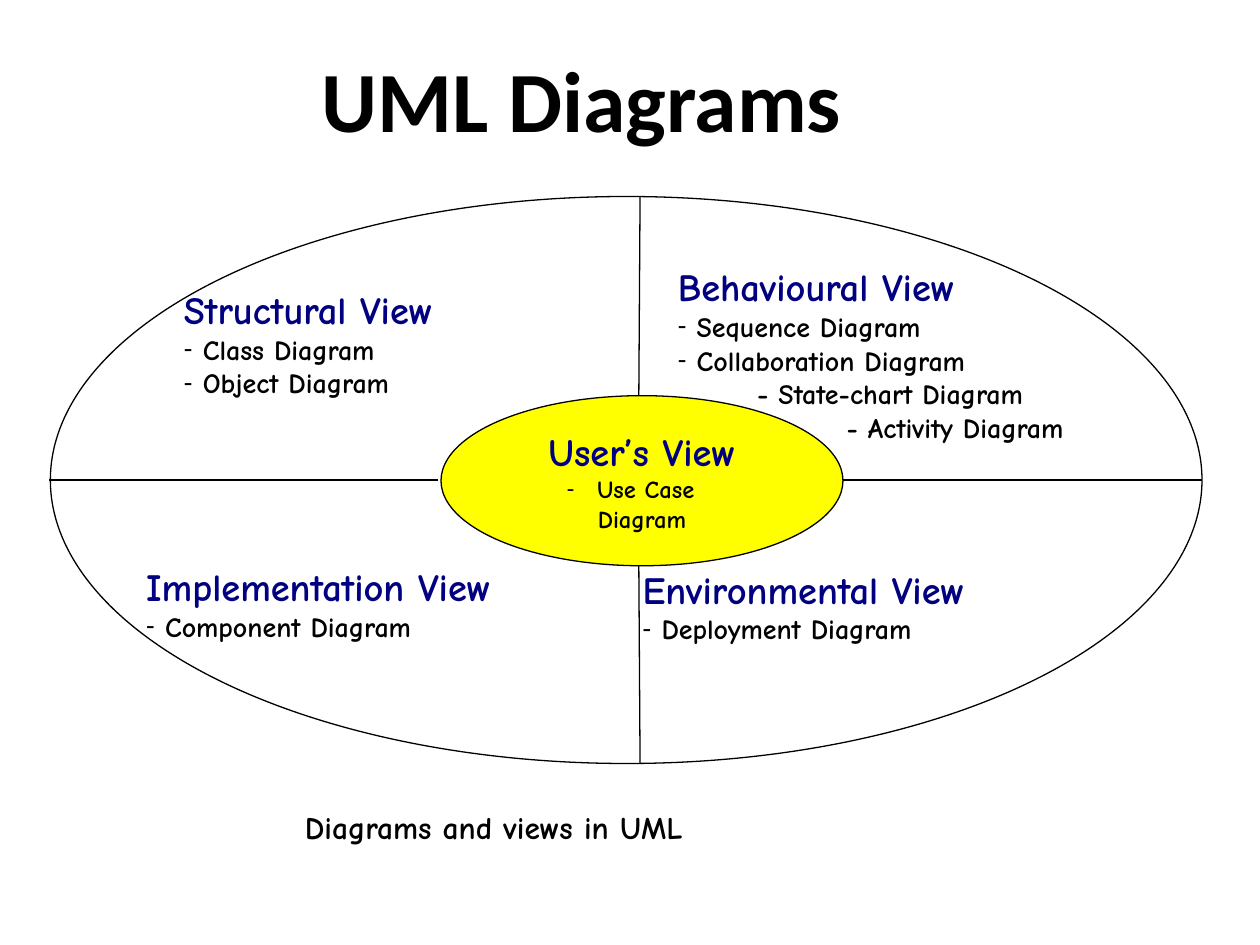
from dataclasses import dataclass

from lxml import etree
from pptx import Presentation
from pptx.dml.color import RGBColor
from pptx.enum.shapes import MSO_CONNECTOR, MSO_SHAPE
from pptx.enum.text import MSO_ANCHOR, PP_ALIGN
from pptx.oxml.ns import qn
from pptx.util import Inches, Pt

STRAIGHT = MSO_CONNECTOR.STRAIGHT
OVAL = MSO_SHAPE.OVAL
CENTER, LEFT = PP_ALIGN.CENTER, PP_ALIGN.LEFT
MIDDLE, TOP = MSO_ANCHOR.MIDDLE, MSO_ANCHOR.TOP


@dataclass(frozen=True)
class Theme:
    black: RGBColor = RGBColor(0, 0, 0)
    navy: RGBColor = RGBColor(0, 0, 128)
    yellow: RGBColor = RGBColor(255, 255, 0)
    title_font: str = "Calibri"
    body_font: str = "Comic Neue"
    title_size: Pt = Pt(49)
    heading_size: Pt = Pt(22)
    caption_size: Pt = Pt(18)
    item_size: Pt = Pt(16)
    small_size: Pt = Pt(14)
    line_width: Pt = Pt(0.75)


theme = Theme()


def set_frame(shape, insets, anchor=TOP, wrap=False):
    frame = shape.text_frame
    frame.word_wrap = wrap
    frame.vertical_anchor = anchor
    frame.margin_left, frame.margin_top, frame.margin_right, frame.margin_bottom = map(Inches, insets)
    return frame


def write(paragraph, text, size, color, align=LEFT, font=theme.body_font, margin=0, hanging=0):
    properties = paragraph._p.get_or_add_pPr()
    properties.set("marL", str(Inches(margin)))
    properties.set("indent", str(Inches(-hanging)))
    if hanging:
        etree.SubElement(properties, qn("a:buFont")).set("typeface", theme.title_font)
        etree.SubElement(properties, qn("a:buChar")).set("char", "-")
    paragraph.text = text
    paragraph.alignment = align
    paragraph.font.name = font
    paragraph.font.size = size
    paragraph.font.bold = True
    paragraph.font.color.rgb = color


presentation = Presentation()
presentation.slide_width = Inches(10)
presentation.slide_height = Inches(7.5)
slide = presentation.slides.add_slide(presentation.slide_layouts[6])
shapes = slide.shapes

# Title, set slightly left of its box's centre
title = shapes.add_textbox(Inches(0.44), Inches(0.2), Inches(8.5), Inches(1.25))
paragraph = set_frame(title, (0.02, 0.05, 0.17, 0.05), MIDDLE, True).paragraphs[0]
write(paragraph, "UML Diagrams", theme.title_size, theme.black, CENTER, theme.title_font)
paragraph.line_spacing = 0.94

# Outer ellipse
outer = shapes.add_shape(OVAL, Inches(0.4), Inches(1.56), Inches(9.14), Inches(4.5))
outer.fill.background()

# Dividers between the four views
for x1, y1, x2, y2 in [
    (5.07, 4.44, 5.08, 6.06),
    (5.07, 3.19, 5.08, 1.56),
    (3.48, 3.81, 0.39, 3.81),
    (6.67, 3.81, 9.54, 3.81),
]:
    divider = shapes.add_connector(STRAIGHT, Inches(x1), Inches(y1), Inches(x2), Inches(y2))
    divider.line.color.rgb = theme.black
    divider.line.width = theme.line_width
    etree.SubElement(divider._element.spPr, qn("a:effectLst"))

# User's view in the centre
center = shapes.add_shape(OVAL, Inches(3.5), Inches(3.14), Inches(3.19), Inches(1.35))
center.fill.solid()
center.fill.fore_color.rgb = theme.yellow
for ellipse in (outer, center):
    ellipse.shadow.inherit = False
    ellipse.line.color.rgb = theme.black
    ellipse.line.width = theme.line_width
frame = set_frame(center, (0.11, 0.06, 0.11, 0.06), MIDDLE)
write(frame.paragraphs[0], "User’s View", theme.heading_size, theme.navy, CENTER)
write(frame.add_paragraph(), "Use Case", theme.small_size, theme.black, CENTER, margin=0.06, hanging=0.24)
write(frame.add_paragraph(), "Diagram", theme.small_size, theme.black, CENTER)

# Four surrounding views: box, heading, bulleted items
views = [
    (1.46, 2.27, 2.35, 0.91, "Structural View", ["Class Diagram", "Object Diagram"]),
    (1.16, 4.47, 3.09, 0.64, "Implementation View", ["Component Diagram"]),
    (5.1, 4.49, 2.85, 0.64, "Environmental View", ["Deployment Diagram"]),
    (5.38, 2.09, 3.73, 1.45, "Behavioural View", ["Sequence Diagram", "Collaboration Diagram"]),
]
for left, top, width, height, heading, items in views:
    box = shapes.add_textbox(Inches(left), Inches(top), Inches(width), Inches(height))
    frame = set_frame(box, (0, 0, 0, 0))
    write(frame.paragraphs[0], heading, theme.heading_size, theme.navy)
    for item in items:
        write(frame.add_paragraph(), item, theme.item_size, theme.black, margin=0.15, hanging=0.15)

# Stepped items that follow the curve of the behavioural view
for item, margin in [("- State-chart Diagram", 0.63), ("- Activity Diagram", 1.34)]:
    write(frame.add_paragraph(), item, theme.item_size, theme.black, margin=margin)

# Caption
caption = shapes.add_textbox(Inches(2.31), Inches(6.35), Inches(3.56), Inches(0.41))
frame = set_frame(caption, (0.11, 0.06, 0.11, 0.06))
write(frame.paragraphs[0], "Diagrams and views in UML", theme.caption_size, theme.black)

presentation.save("out.pptx")
